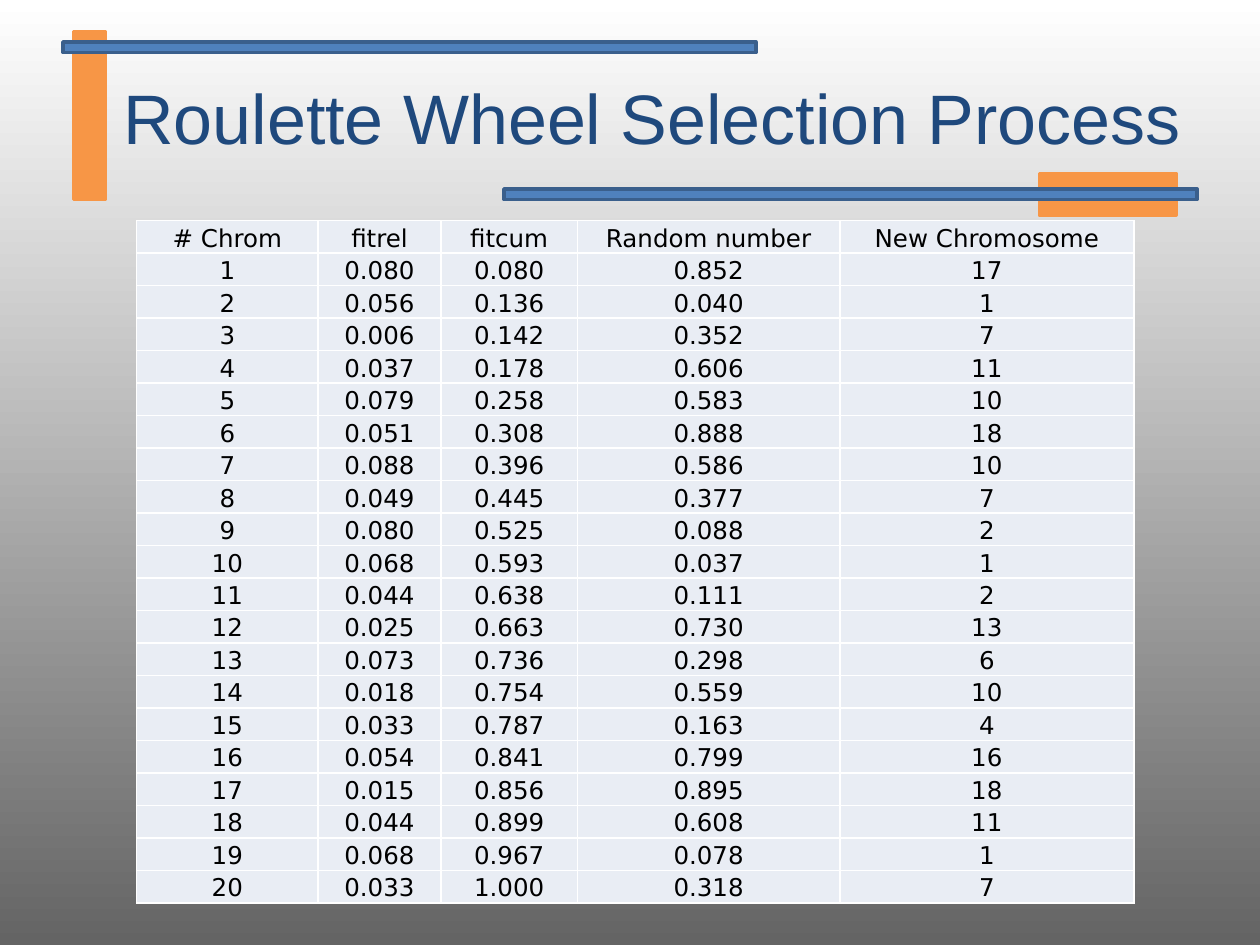
from pptx import Presentation
from pptx.dml.color import RGBColor as RGB
from pptx.enum.shapes import MSO_SHAPE as Shape
from pptx.enum.text import MSO_ANCHOR as Anchor, PP_ALIGN as Align
from pptx.util import Inches, Pt
from lxml.etree import SubElement as Sub
from pptx.oxml.ns import qn

THEME = {
    "top": "FFFFFF", "base": "646464",
    "orange": "F79646", "blue": "4F81BD", "edge": "3A5F8C",
    "cell": "E9EDF4", "rule": "FFFFFF", "line": 2, "border": 1,
    "title": {"name": "Arial", "size": Pt(40), "bold": False},
    "body": {"name": "DejaVu Sans", "size": Pt(14), "bold": False},
    "title_ink": "1F497D", "body_ink": "000000",
}

deck = Presentation()
deck.slide_width, deck.slide_height = Inches(10), Inches(7.5)
UNIT = deck.slide_width / 120  # grid of 120 columns by 90 rows


def grid(*cells):
    return [round(n * UNIT) for n in cells]


def style(font, look, ink):
    for key, value in look.items():
        setattr(font, key, value)
    font.color.rgb = RGB.from_string(ink)


slide = deck.slides.add_slide(deck.slide_layouts[5])

# Background: light at the top, dark at the bottom
back = slide.background.fill
back.gradient()
back.gradient_angle = 270
for stop, tone in zip(back.gradient_stops, ("top", "base")):
    stop.color.rgb = RGB.from_string(THEME[tone])

# Bars around the title
BARS = [
    ((7, 3, 3, 16), "orange", "orange"),
    ((99, 16.5, 13, 4), "orange", "orange"),
    ((48, 18, 66, 1), "blue", "edge"),
    ((6, 4, 66, 1), "blue", "edge"),
]
for place, fill, edge in BARS:
    bar = slide.shapes.add_shape(Shape.RECTANGLE, *grid(*place))
    bar.shadow.inherit = False
    bar.fill.solid()
    bar.fill.fore_color.rgb = RGB.from_string(THEME[fill])
    bar.line.color.rgb = RGB.from_string(THEME[edge])
    bar.line.width = Pt(THEME["line"])

# Title, brought in front of the bars
title = slide.shapes.title
title.left, title.top, title.width, title.height = grid(6, 3.6, 108, 15)
slide.shapes._spTree.append(title._element)
frame = title.text_frame
frame.text = "Roulette Wheel Selection Process"
frame.vertical_anchor = Anchor.MIDDLE
frame.margin_right = Inches(0.13)
head = frame.paragraphs[0]
head.alignment = Align.RIGHT
style(head.font, THEME["title"], THEME["title_ink"])

# Table data; the chromosome number is the row number
HEADS = ["# Chrom", "fitrel", "fitcum", "Random number", "New Chromosome"]
DATA = [
    (0.080, 0.080, 0.852, 17),
    (0.056, 0.136, 0.040, 1),
    (0.006, 0.142, 0.352, 7),
    (0.037, 0.178, 0.606, 11),
    (0.079, 0.258, 0.583, 10),
    (0.051, 0.308, 0.888, 18),
    (0.088, 0.396, 0.586, 10),
    (0.049, 0.445, 0.377, 7),
    (0.080, 0.525, 0.088, 2),
    (0.068, 0.593, 0.037, 1),
    (0.044, 0.638, 0.111, 2),
    (0.025, 0.663, 0.730, 13),
    (0.073, 0.736, 0.298, 6),
    (0.018, 0.754, 0.559, 10),
    (0.033, 0.787, 0.163, 4),
    (0.054, 0.841, 0.799, 16),
    (0.015, 0.856, 0.895, 18),
    (0.044, 0.899, 0.608, 11),
    (0.068, 0.967, 0.078, 1),
    (0.033, 1.000, 0.318, 7),
]
rows = [HEADS]
for num, (*rates, pick) in enumerate(DATA, 1):
    rows.append([str(num), *(f"{rate:.3f}" for rate in rates), str(pick)])

# Table grid
WIDTHS = grid(17.3, 11.7, 13, 25, 28)
table = slide.shapes.add_table(len(rows), len(HEADS), *grid(13, 21, 95, 65)).table
table.first_row = table.horz_banding = False
for col, width in zip(table.columns, WIDTHS):
    col.width = width

# Table cells
for r, row in enumerate(rows):
    for c, text in enumerate(row):
        cell = table.cell(r, c)
        cell.text = text
        pad = Inches(0.01 if c < 3 else 0)
        form = {"margin_left": pad, "margin_right": pad, "margin_top": pad,
                "margin_bottom": 0, "vertical_anchor": Anchor.BOTTOM}
        for key, value in form.items():
            setattr(cell, key, value)
        para = cell.text_frame.paragraphs[0]
        para.alignment = Align.CENTER
        style(para.runs[0].font, THEME["body"], THEME["body_ink"])
        for side in ("lnL", "lnR", "lnT", "lnB"):
            line = Sub(cell._tc.get_or_add_tcPr(), qn(f"a:{side}"),
                       w=str(Pt(THEME["border"])))
            Sub(Sub(line, qn("a:solidFill")), qn("a:srgbClr"), val=THEME["rule"])
        cell.fill.solid()
        cell.fill.fore_color.rgb = RGB.from_string(THEME["cell"])

deck.save("out.pptx")
